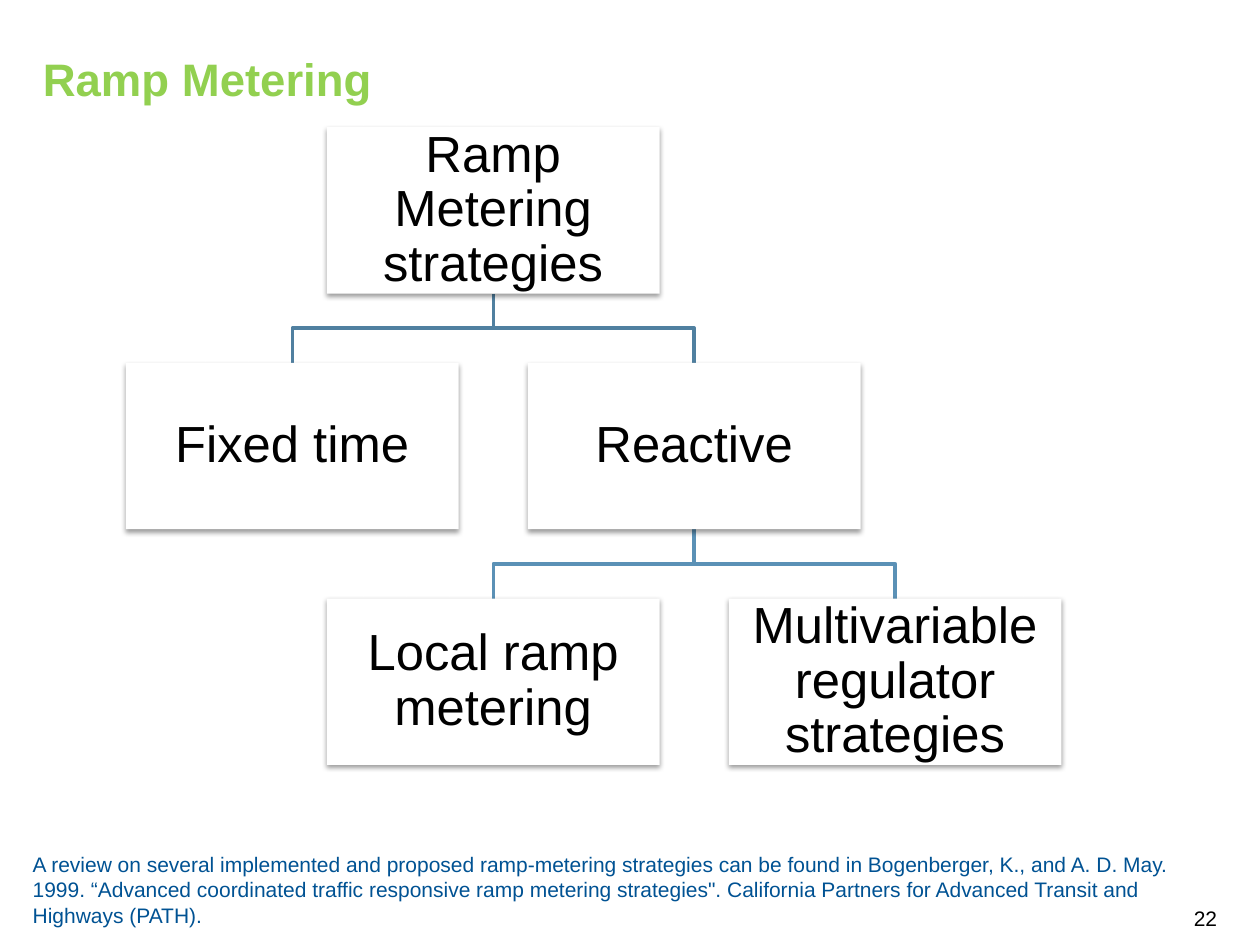
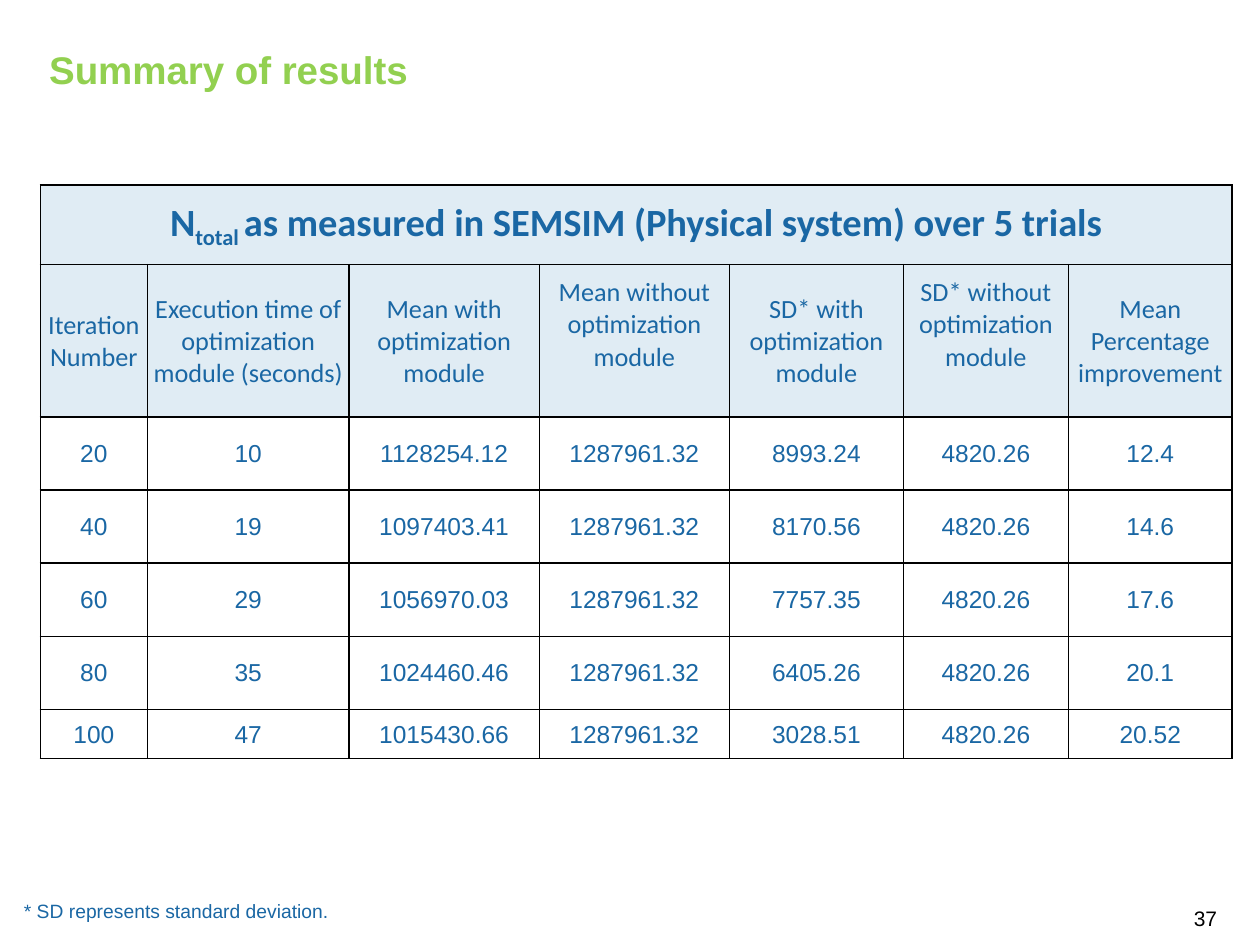
from dataclasses import dataclass

from lxml import etree
from pptx import Presentation
from pptx.dml.color import RGBColor
from pptx.enum.shapes import MSO_SHAPE
from pptx.enum.text import MSO_ANCHOR, MSO_AUTO_SIZE, PP_ALIGN
from pptx.oxml.ns import qn
from pptx.util import Inches, Pt

RECT = MSO_SHAPE.RECTANGLE
LEFT, CENTER, RIGHT = PP_ALIGN.LEFT, PP_ALIGN.CENTER, PP_ALIGN.RIGHT
TOP, MIDDLE, BOTTOM = MSO_ANCHOR.TOP, MSO_ANCHOR.MIDDLE, MSO_ANCHOR.BOTTOM
NO_FIT = MSO_AUTO_SIZE.NONE


@dataclass(frozen=True)
class Theme:
    font: str = "Arial"
    header_font: str = "Calibri"
    green: str = "92D050"
    black: str = "000000"
    white: str = "FFFFFF"
    source_blue: str = "005293"
    table_blue: str = "1A67A4"
    header_fill: str = "E0ECF4"
    branch_colours: tuple = ("5080A0", "5B91B6")
    strategies_title_size: int = 26
    results_title_size: int = 22
    source_size: int = 12
    footnote_size: int = 11
    page_size: int = 12
    node_size: int = 29
    table_title_size: int = 22
    header_size: int = 15
    value_size: int = 14


THEME = Theme()

NODES = {
    "Ramp Metering strategies": (1, 0),
    "Fixed time": (0, 1),
    "Reactive": (2, 1),
    "Local ramp metering": (1, 2),
    "Multivariable regulator strategies": (3, 2),
}
BRANCHES = {
    "Ramp Metering strategies": ("Fixed time", "Reactive"),
    "Reactive": ("Local ramp metering", "Multivariable regulator strategies"),
}
SOURCE = (
    "A review on several implemented and proposed ramp-metering strategies can be found in "
    "Bogenberger, K., and A. D. May. 1999. “Advanced coordinated traffic responsive ramp "
    "metering strategies\". California Partners for Advanced Transit and Highways (PATH)."
)

TABLE_TITLE = (
    ("N", False),
    ("total ", True),
    ("as measured in SEMSIM (Physical system) over 5 trials", False),
)
HEADERS = (
    "Iteration Number",
    "Execution time of optimization module (seconds)",
    "Mean with optimization module",
    "Mean without optimization module",
    "SD* with optimization module",
    "SD* without optimization module",
    "Mean\nPercentage improvement",
)
RAISED_HEADERS = (3, 5)
MEAN_WITHOUT, SD_WITHOUT = "1287961.32", "4820.26"
RESULTS = (
    ("20", "10", "1128254.12", "8993.24", "12.4"),
    ("40", "19", "1097403.41", "8170.56", "14.6"),
    ("60", "29", "1056970.03", "7757.35", "17.6"),
    ("80", "35", "1024460.46", "6405.26", "20.1"),
    ("100", "47", "1015430.66", "3028.51", "20.52"),
)
COLUMN_WIDTHS = (0.85, 1.6, 1.51, 1.51, 1.38, 1.31, 1.3)
ROW_HEIGHTS = (0.63, 1.21, 0.58, 0.58, 0.58, 0.58, 0.39)


def rgb(colour):
    return RGBColor.from_string(colour)


def format_text(tf, size, colour, align=LEFT, font=THEME.font, bold=False, spacing=None):
    for p in tf.paragraphs:
        p.alignment = align
        if spacing:
            p.line_spacing = spacing
        for r in p.runs:
            r.font.name = font
            r.font.size = Pt(size)
            r.font.bold = bold
            r.font.color.rgb = rgb(colour)


def set_frame(tf, anchor=TOP, margin=0.0):
    tf.word_wrap = True
    tf.auto_size = NO_FIT
    tf.vertical_anchor = anchor
    tf.margin_left = tf.margin_right = tf.margin_top = tf.margin_bottom = Inches(margin)


def add_note(s, box, text, size, colour, align=LEFT, anchor=TOP, spacing=None):
    tf = s.shapes.add_textbox(*map(Inches, box)).text_frame
    set_frame(tf, anchor)
    tf.text = text
    format_text(tf, size, colour, align, spacing=spacing)


def add_slide(prs, title, position, size, number):
    s = prs.slides.add_slide(prs.slide_layouts[5])
    sp = s.shapes.title
    sp.left, sp.top = map(Inches, position)
    sp.width, sp.height = Inches(9.31), Inches(0.39)
    set_frame(sp.text_frame)
    sp.text_frame.text = title
    format_text(sp.text_frame, size, THEME.green, bold=True, spacing=1.25)
    add_note(s, (8.44, 7.18, 1.22, 0.21), number, THEME.page_size, THEME.black,
             RIGHT, BOTTOM, 1.14)
    return s


def add_soft_shadow(sp):
    sp.shadow.inherit = False
    effects = sp._element.spPr.find(qn("a:effectLst"))
    shadow = etree.SubElement(effects, qn("a:outerShdw"), blurRad=str(Pt(3.1)),
                              dist=str(Pt(1.6)), dir="5400000", rotWithShape="0")
    colour = etree.SubElement(shadow, qn("a:srgbClr"), val=THEME.black)
    etree.SubElement(colour, qn("a:alpha"), val="38000")


def add_node(s, box, text):
    sp = s.shapes.add_shape(RECT, *map(Inches, box))
    sp.fill.solid()
    sp.fill.fore_color.rgb = rgb(THEME.white)
    sp.line.fill.background()
    add_soft_shadow(sp)
    set_frame(sp.text_frame, MIDDLE, 0.02)
    sp.text_frame.text = text
    format_text(sp.text_frame, THEME.node_size, THEME.black, CENTER, spacing=0.9)


def add_branch(s, start, end, colour):
    (x1, y1), (x2, y2) = start, end
    middle = (y1 + y2) / 2
    corners = [tuple(map(Inches, point))
               for point in ((x1, y1), (x1, middle), (x2, middle), (x2, y2))]
    builder = s.shapes.build_freeform(*corners[0])
    builder.add_line_segments(corners[1:], close=False)
    sp = builder.convert_to_shape()
    sp.fill.background()
    sp.line.color.rgb = rgb(colour)
    sp.line.width = Pt(2)
    sp.shadow.inherit = False


def add_hierarchy(s, left, top, width, height, gap):
    boxes = {
        text: (left + column * (width + gap) / 2, top + level * (height + gap), width, height)
        for text, (column, level) in NODES.items()
    }
    for (parent, children), colour in zip(BRANCHES.items(), THEME.branch_colours):
        x, y = boxes[parent][:2]
        for child in children:
            child_x, child_y = boxes[child][:2]
            add_branch(s, (x + width / 2, y + height), (child_x + width / 2, child_y), colour)
    for text, box in boxes.items():
        add_node(s, box, text)


def format_cell(cell, fill=None):
    cell.vertical_anchor = MIDDLE
    cell.margin_left = cell.margin_right = cell.margin_top = Inches(0.01)
    cell.margin_bottom = 0
    tcPr = cell._tc.get_or_add_tcPr()
    for side in ("lnL", "lnR", "lnT", "lnB"):
        line = etree.SubElement(tcPr, qn(f"a:{side}"), w=str(Pt(1)))
        solid = etree.SubElement(line, qn("a:solidFill"))
        etree.SubElement(solid, qn("a:srgbClr"), val=THEME.black)
    if fill:
        cell.fill.solid()
        cell.fill.fore_color.rgb = rgb(fill)
    else:
        cell.fill.background()


def fill_table_title(cell):
    p = cell.text_frame.paragraphs[0]
    for text, subscript in TABLE_TITLE:
        r = p.add_run()
        r.text = text
        if subscript:
            r.font._element.set("baseline", "-25000")
    format_text(cell.text_frame, THEME.table_title_size, THEME.table_blue, CENTER,
                THEME.header_font, True)


def add_results_table(s, left, top):
    frame = s.shapes.add_table(len(ROW_HEIGHTS), len(COLUMN_WIDTHS), Inches(left), Inches(top),
                               Inches(sum(COLUMN_WIDTHS)), Inches(sum(ROW_HEIGHTS)))
    table = frame.table
    table.first_row = table.horz_banding = False
    for column, width in zip(table.columns, COLUMN_WIDTHS):
        column.width = Inches(width)
    for row, height in zip(table.rows, ROW_HEIGHTS):
        row.height = Inches(height)
    for i, row in enumerate(table.rows):
        for cell in row.cells:
            format_cell(cell, THEME.header_fill if i < 2 else None)

    table.cell(0, 0).merge(table.cell(0, len(COLUMN_WIDTHS) - 1))
    fill_table_title(table.cell(0, 0))
    for j, text in enumerate(HEADERS):
        cell = table.cell(1, j)
        cell.text_frame.text = text
        format_text(cell.text_frame, THEME.header_size, THEME.table_blue, CENTER,
                    THEME.header_font)
        if j in RAISED_HEADERS:
            cell.margin_bottom = Inches(0.26)
    for i, (iterations, seconds, mean, sd, gain) in enumerate(RESULTS, 2):
        values = (iterations, seconds, mean, MEAN_WITHOUT, sd, SD_WITHOUT, gain)
        for j, value in enumerate(values):
            tf = table.cell(i, j).text_frame
            tf.text = value
            format_text(tf, THEME.value_size, THEME.table_blue, CENTER)


def build_strategies_slide(prs):
    s = add_slide(prs, "Ramp Metering", (0.34, 0.3), THEME.strategies_title_size, "22")
    add_hierarchy(s, left=1, top=1.01, width=2.64, height=1.32, gap=0.55)
    add_note(s, (0.26, 6.76, 9.34, 0.61), SOURCE, THEME.source_size, THEME.source_blue)


def build_results_slide(prs):
    s = add_slide(prs, "Summary of results", (0.39, 0.27), THEME.results_title_size, "37")
    add_results_table(s, 0.32, 1.47)
    add_note(s, (0.19, 7.11, 8.87, 0.21), "* SD represents standard deviation.",
             THEME.footnote_size, THEME.table_blue, spacing=1.14)


def main():
    prs = Presentation()
    prs.slide_width, prs.slide_height = Inches(10), Inches(7.5)
    build_strategies_slide(prs)
    build_results_slide(prs)
    prs.save("out.pptx")


if __name__ == "__main__":
    main()
